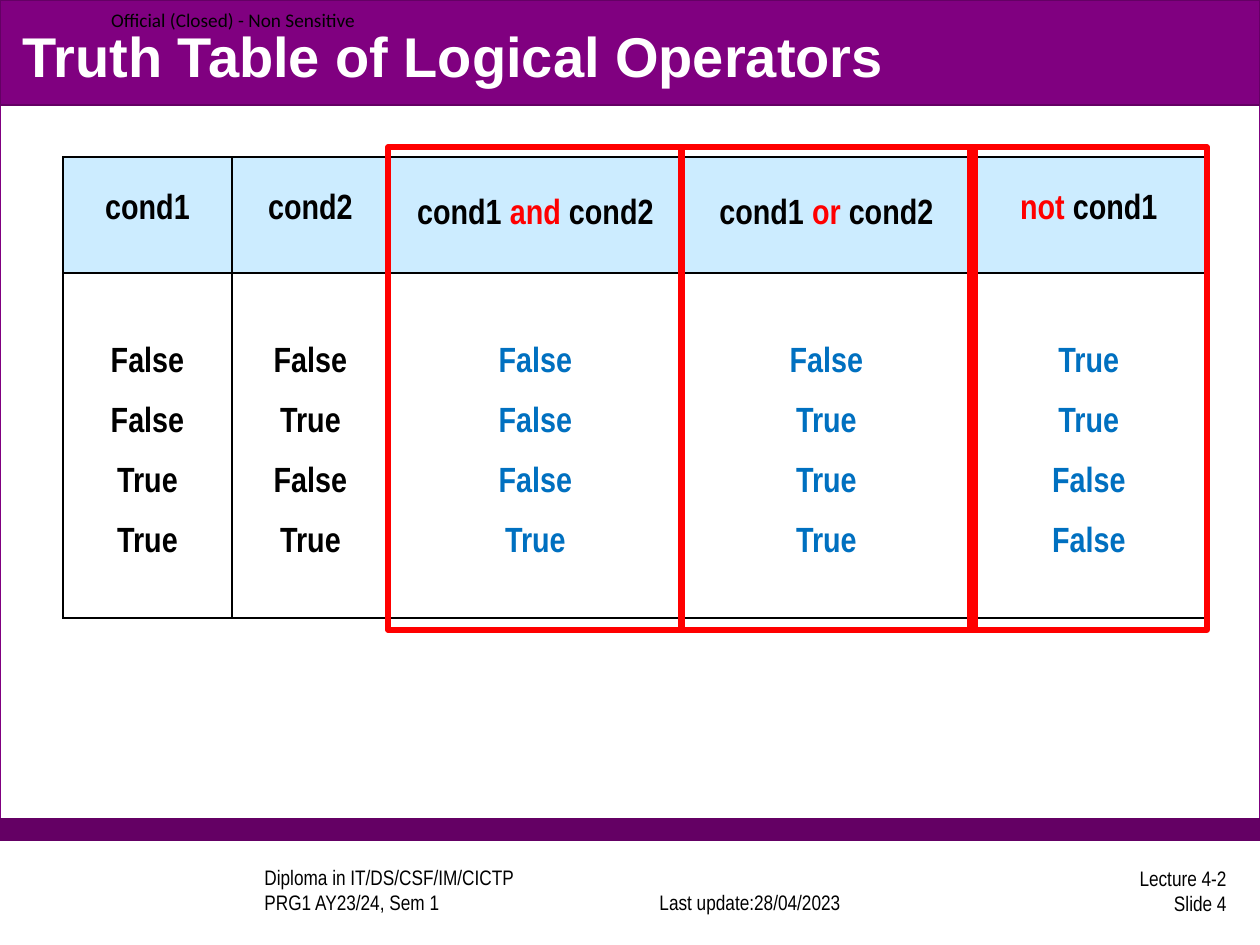
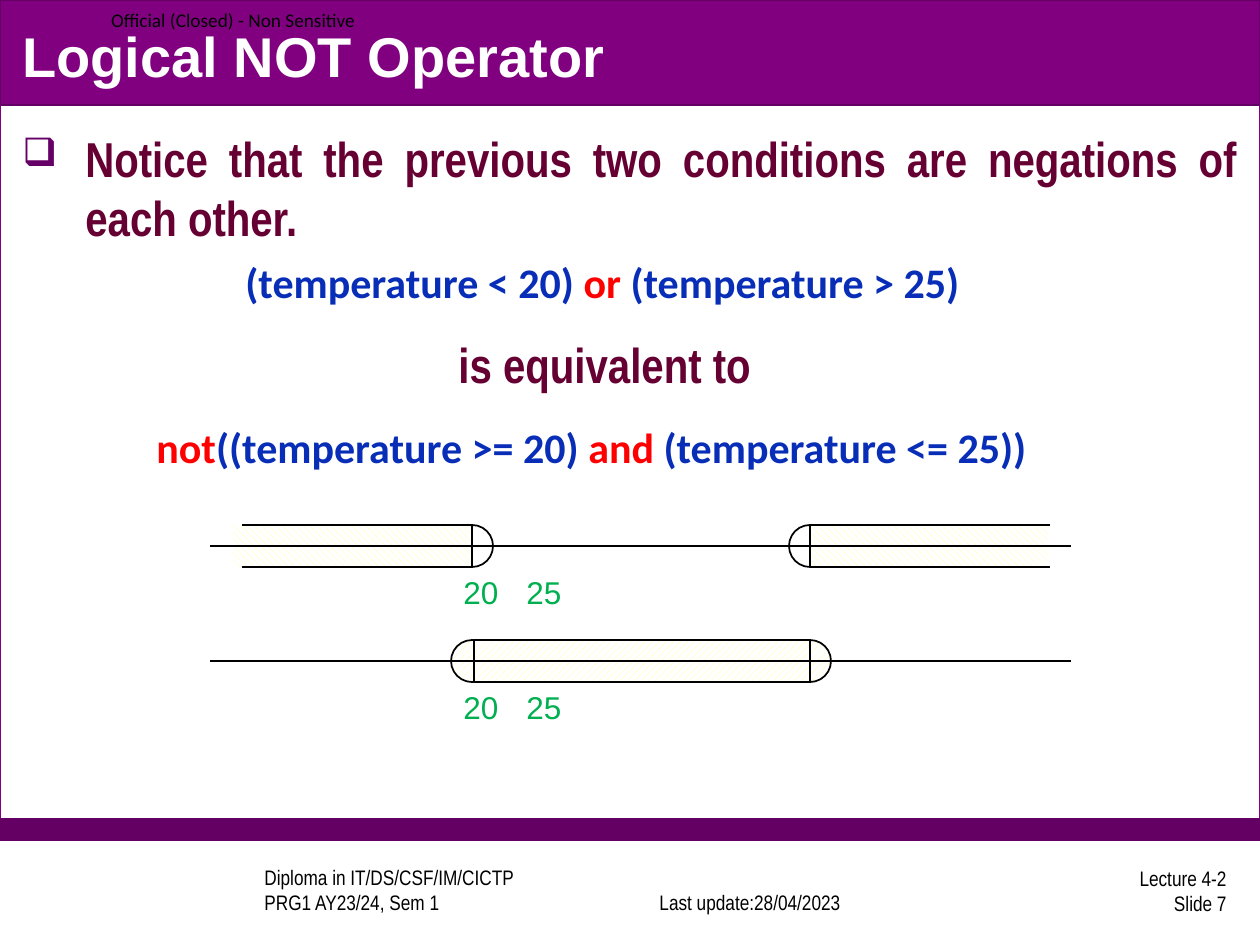
from itertools import accumulate

from lxml import etree
from pptx import Presentation
from pptx.dml.color import RGBColor
from pptx.enum import dml, shapes, text
from pptx.oxml import ns
from pptx.util import Pt

EMU_PER_PX = 914400 / 126
BLACK, WHITE, RED = "000000", "FFFFFF", "FF0000"
PURPLE, DARK_PURPLE, MAROON = "800080", "640064", "660033"
BLUE, GREEN, RESULT_BLUE, HEADER_BLUE = "082EB8", "00B050", "0070C0", "CCECFF"
PALE_YELLOW = "FFFF99"
RECT, OVAL = shapes.MSO_SHAPE.RECTANGLE, shapes.MSO_SHAPE.OVAL
ALIGN, ANCHOR = text.PP_ALIGN, text.MSO_ANCHOR
RISING = dml.MSO_PATTERN.WIDE_UPWARD_DIAGONAL
FALLING = dml.MSO_PATTERN.WIDE_DOWNWARD_DIAGONAL

FOOTER = {"name": "Arial Narrow", "size": 12, "color": BLACK}
TITLE = {"name": "Arial", "size": 32, "color": WHITE, "bold": True}
MARKING = {"name": "Calibri", "size": 11, "color": BLACK}
CELL = {"name": "Arial Narrow", "size": 20, "color": BLACK, "bold": True}
STATEMENT = {"name": "Arial Narrow", "size": 28, "color": MAROON, "bold": True}
CODE = {"name": "Calibri", "size": 24, "color": BLUE, "bold": True}
KEYWORD = {**CODE, "color": RED}
TICK = {"name": "Arial", "size": 18, "color": GREEN}


def px(length):
    """Turn px into EMU."""
    return round(length * EMU_PER_PX)


def color(value):
    """Turn a hex string into a colour."""
    return RGBColor.from_string(value)


def add_element(parent, tag, **attributes):
    """Append a drawing element to a parent."""
    return etree.SubElement(parent, ns.qn(tag), attributes)


def write_para(para, spans, indent=0, hanging=0, bullet=None, tab=None, **formats):
    """Write (words, style) spans into a paragraph."""
    props = para._p.get_or_add_pPr()
    props.set("marL", str(px(indent)))
    props.set("indent", str(px(hanging)))
    if bullet:
        add_element(add_element(props, "a:buClr"), "a:srgbClr", val="660066")
        add_element(props, "a:buSzPct", val="80000")
        add_element(props, "a:buChar", char=bullet)
    if tab:
        stops = add_element(props, "a:tabLst")
        add_element(stops, "a:tab", pos=str(px(tab)), algn="l")
    for key, value in formats.items():
        setattr(para, key, value)
    for words, style in spans:
        span = para.add_run()
        span.text = words
        for key, value in style.items():
            if key == "color":
                span.font.color.rgb = color(value)
            else:
                setattr(span.font, key, Pt(value) if key == "size" else value)


def write_paras(frame, paras):
    """Fill a text frame with (spans, formats) paragraphs."""
    for index, (spans, formats) in enumerate(paras):
        para = frame.add_paragraph() if index else frame.paragraphs[0]
        write_para(para, spans, **formats)


def add_text(page, box, paras, anchor=ANCHOR.MIDDLE, inset=True):
    """Add a wrapping text box."""
    frame = page.shapes.add_textbox(*map(px, box)).text_frame
    frame.word_wrap = True
    frame.vertical_anchor = anchor
    if not inset:
        for side in ("left", "top", "right", "bottom"):
            setattr(frame, f"margin_{side}", 0)
    write_paras(frame, paras)


def add_shape(page, kind, box, fill=None, line=None, width=1, pattern=None):
    """Add a plain, patterned or hollow preset shape."""
    shape = page.shapes.add_shape(kind, *map(px, box))
    shape.shadow.inherit = False
    if pattern:
        shape.fill.patterned()
        shape.fill.pattern = pattern
        shape.fill.fore_color.rgb = color(PALE_YELLOW)
        shape.fill.back_color.rgb = color(WHITE)
    elif fill:
        shape.fill.solid()
        shape.fill.fore_color.rgb = color(fill)
    else:
        shape.fill.background()
    if line:
        shape.line.color.rgb = color(line)
        shape.line.width = Pt(width)
    else:
        shape.line.fill.background()


def add_line(page, start, end):
    """Add a thin black straight line."""
    line = page.shapes.add_connector(
        shapes.MSO_CONNECTOR.STRAIGHT, *map(px, (*start, *end)))
    line.line.color.rgb = color(BLACK)
    line.line.width = Pt(1)
    add_element(line._element.spPr, "a:effectLst")


def add_page(deck, title, number):
    """Add a slide with the shared bands, title and footers."""
    page = deck.slides.add_slide(deck.slide_layouts[6])
    add_shape(page, RECT, (0, 0, 1260, 840), WHITE, PURPLE, 0.75)
    add_shape(page, RECT, (0, 819, 1260, 21), DARK_PURPLE, DARK_PURPLE, 0.75)
    add_shape(page, RECT, (0, 0, 1260, 105), PURPLE, DARK_PURPLE, 0.75)
    footers = [
        ((189, 868, 400, 53), ANCHOR.BOTTOM, {"indent": 63},
         ["Diploma in IT/DS/CSF/IM/CICTP", "PRG1 AY23/24, Sem 1"]),
        ((619, 868, 262, 53), ANCHOR.BOTTOM, {"alignment": ALIGN.CENTER},
         ["Last update:28/04/2023"]),
        ((977, 864, 262, 53), ANCHOR.MIDDLE, {"alignment": ALIGN.RIGHT},
         ["Lecture 4-2", f"Slide {number}"]),
    ]
    for box, anchor, formats, lines in footers:
        paras = [([(line, FOOTER)], formats) for line in lines]
        add_text(page, box, paras, anchor)
    marking = [([("Official (Closed) - Non Sensitive", MARKING)], {})]
    add_text(page, (111, 0, 268, 39), marking, inset=False)
    add_text(page, (10, 16, 1239, 78), [([(title, TITLE)], {})])
    return page


def style_cell(cell, fill):
    """Give a cell its borders, fill, margins and anchor."""
    props = cell._tc.get_or_add_tcPr()
    for side in "LRTB":
        border = add_element(props, f"a:ln{side}", w=str(Pt(1)))
        add_element(add_element(border, "a:solidFill"), "a:srgbClr", val=BLACK)
    cell.fill.solid()
    cell.fill.fore_color.rgb = color(fill)
    cell.vertical_anchor = ANCHOR.MIDDLE
    for side, margin in {"left": 9, "right": 9, "top": 0, "bottom": 0}.items():
        setattr(cell, f"margin_{side}", px(margin))


def add_truth_table(page, box, widths, heights, columns):
    """Add the truth table from (heading, values, colour) columns."""
    table = page.shapes.add_table(2, len(columns), *map(px, box)).table
    table.first_row = table.horz_banding = False
    for row, height in zip(table.rows, heights):
        row.height = px(height)
    for index, (heading, values, ink) in enumerate(columns):
        table.columns[index].width = px(widths[index])
        head, body = table.cell(0, index), table.cell(1, index)
        style_cell(head, HEADER_BLUE)
        style_cell(body, WHITE)
        formats = {"alignment": ALIGN.CENTER}
        if len(heading) < 3:
            formats.update(line_spacing=Pt(14), space_after=Pt(3))
        spans = [(words, {**CELL, "color": RED if words.strip() in ("and", "or", "not")
                          else BLACK}) for words in heading]
        write_paras(head.text_frame, [(spans, formats)])
        paras = []
        for row, value in enumerate(values):
            formats = {"alignment": ALIGN.CENTER, "line_spacing": 1.5,
                       "space_before": Pt(3 if row else 0), "space_after": Pt(3)}
            paras.append(([(str(value), {**CELL, "color": ink})], formats))
        write_paras(body.text_frame, paras)


def add_truth_page(deck):
    """Build the truth table slide with its framed result columns."""
    page = add_page(deck, "Truth Table of Logical Operators", 4)
    pairs = [(first, second) for first in (False, True) for second in (False, True)]
    columns = [
        (["cond1"], [a for a, b in pairs], BLACK),
        (["cond2"], [b for a, b in pairs], BLACK),
        (["cond1 ", "and", " cond2"], [a and b for a, b in pairs], RESULT_BLUE),
        (["cond1 ", "or", " cond2"], [a or b for a, b in pairs], RESULT_BLUE),
        (["not ", "cond1"], [not a for a, b in pairs], RESULT_BLUE),
    ]
    left, top, width, height = box = (63, 157, 1144, 461)
    widths = [169, 157, 293, 289, 236]
    add_truth_table(page, box, widths, [116, 345], columns)
    edges = list(accumulate(widths, initial=left))
    for edge, frame_width in zip(edges[2:], (294, 294, 237)):
        add_shape(page, RECT, (edge - 1, top - 10, frame_width, height + 22),
                  line=RED, width=3)


def add_ticks(page, box, gap):
    """Label the two limits below a number line."""
    spans = [("20\t25", TICK)]
    add_text(page, box, [(spans, {"tab": gap})], ANCHOR.TOP)


def add_outside_range(page, box):
    """Draw the number line with both outer ranges shaded."""
    left, top, width, height = box
    low, high, bottom = left + 262, left + 600, top + height
    for limit in (low, high):
        add_shape(page, OVAL, (limit - 21, top, 42, height), line=BLACK)
    for start, limit, far in ((left + 23, low, left + 32),
                              (high, high, left + 840)):
        add_shape(page, RECT, (start, top, 239, height), pattern=FALLING)
        add_line(page, (limit, top), (limit, bottom))
        for edge in (top, bottom):
            add_line(page, (limit, edge), (far, edge))
    add_line(page, (left, top + 21), (left + width, top + 21))
    add_ticks(page, (left + 241, bottom, 399, 50), 324)


def add_inside_range(page, box):
    """Draw the number line with the inner range shaded."""
    left, top, width, height = box
    low, high = left + 264, left + 600
    for start in (high - 21, low - 23):
        add_shape(page, OVAL, (start, top, 42, height), line=BLACK, pattern=RISING)
    add_shape(page, RECT, (low, top, high - low, height), line=BLACK, pattern=RISING)
    add_line(page, (left, top + 21), (left + width, top + 21))
    add_ticks(page, (left + 241, top + height, 399, 50), 333)


def add_not_page(deck):
    """Build the slide on the NOT operator and its two number lines."""
    page = add_page(deck, "Logical NOT Operator", 7)
    notice = "Notice that the previous two conditions are negations of each other."
    paras = [
        ([(notice, STATEMENT)],
         {"alignment": ALIGN.JUSTIFY, "indent": 63, "hanging": -63, "bullet": "❑"}),
        ([("(temperature < 20) ", CODE), ("or", KEYWORD), (" (temperature > 25)", CODE)],
         {"indent": 223, "space_before": Pt(6)}),
        ([("is equivalent to", STATEMENT)], {"indent": 436, "space_before": Pt(16)}),
        ([("not", KEYWORD), ("((temperature >= 20) ", CODE), ("and ", KEYWORD),
          ("(temperature <= 25))", CODE)], {"indent": 134, "space_before": Pt(16)}),
    ]
    add_text(page, (10, 122, 1239, 687), paras, ANCHOR.TOP)
    add_inside_range(page, (210, 640, 861, 42))
    add_outside_range(page, (210, 525, 861, 42))


def main():
    """Build and save the deck."""
    deck = Presentation()
    deck.slide_width, deck.slide_height = px(1260), px(945)
    add_truth_page(deck)
    add_not_page(deck)
    deck.save("out.pptx")


if __name__ == "__main__":
    main()
